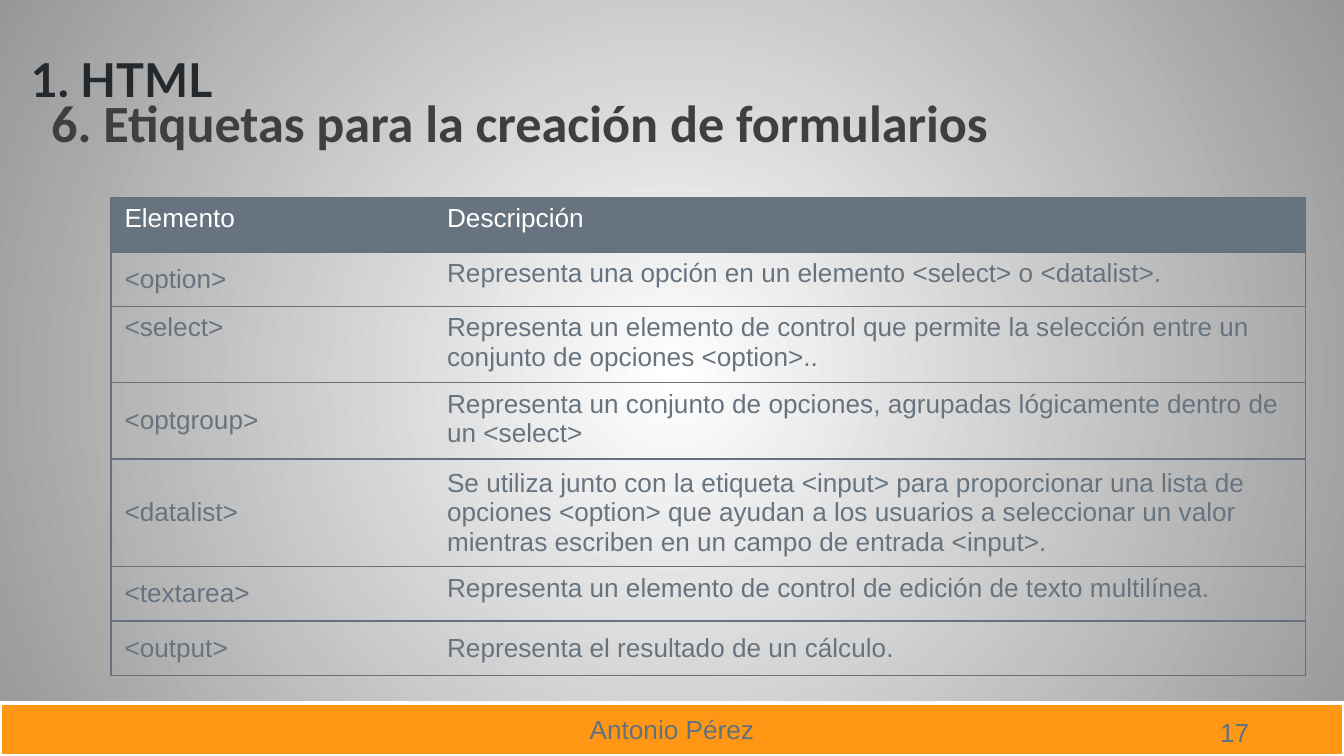
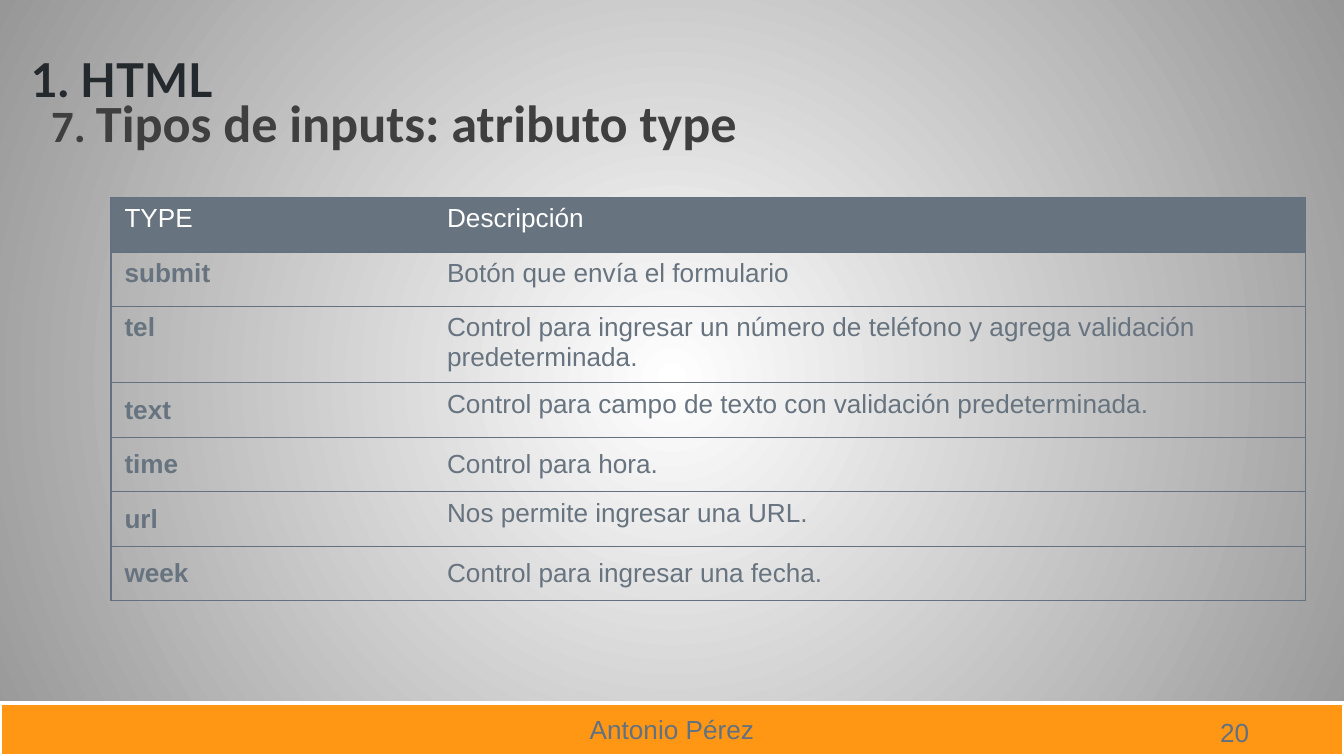
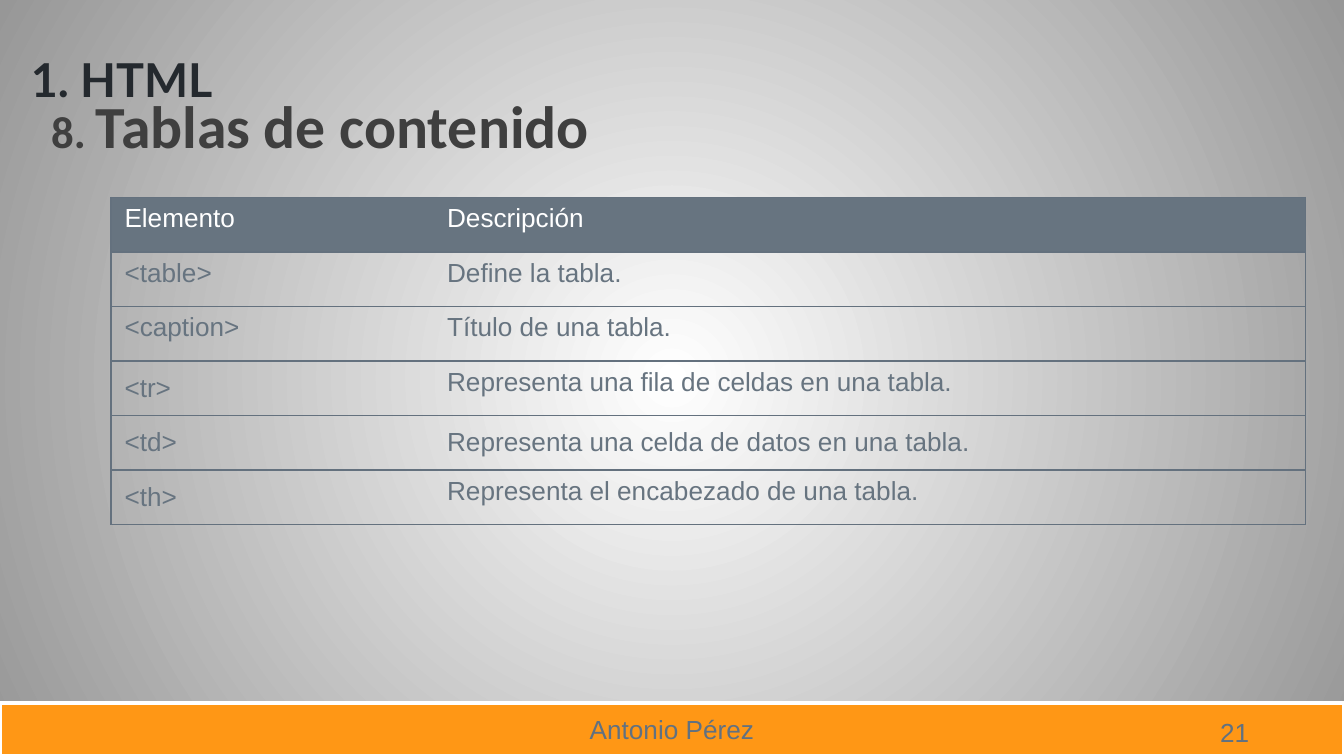
from lxml import etree
from pptx import Presentation
from pptx.dml.color import RGBColor
from pptx.enum.shapes import MSO_SHAPE
from pptx.enum.text import MSO_ANCHOR, PP_ALIGN
from pptx.oxml.ns import qn
from pptx.util import Pt

RECT = MSO_SHAPE.RECTANGLE
TOP, MID, BOTTOM = MSO_ANCHOR.TOP, MSO_ANCHOR.MIDDLE, MSO_ANCHOR.BOTTOM
CENTER = PP_ALIGN.CENTER

WHITE = RGBColor(0xFF, 0xFF, 0xFF)
GRAY = RGBColor(0x97, 0x97, 0x97)
ORANGE = RGBColor(0xFF, 0x97, 0x15)
SLATE = RGBColor(0x61, 0x71, 0x81)
STEEL = RGBColor(0x67, 0x74, 0x80)
RULE = RGBColor(0x64, 0x71, 0x7E)
INK = RGBColor(0x24, 0x29, 0x2E)
DARK = RGBColor(0x3F, 0x3F, 0x3F)

WIDTH, HEIGHT = 720, 405
COLS = (172.8, 467.2)
ROW = 29.2


class Deck:
    def __init__(self):
        self.prs = Presentation()
        self.prs.slide_width, self.prs.slide_height = Pt(WIDTH), Pt(HEIGHT)
        self.slide = None
        self.backdrop()

    def backdrop(self):
        """Radial gradient on the master, shared by every slide."""
        master = self.prs.slide_master
        fill = master.background.fill
        fill.gradient()
        for stop, color in zip(fill.gradient_stops, (WHITE, GRAY)):
            stop.color.rgb = color
        grad = master.element.find(".//" + qn("a:gradFill"))
        grad.remove(grad.find(qn("a:lin")))
        radial = etree.SubElement(grad, qn("a:path"), path="circle")
        etree.SubElement(radial, qn("a:fillToRect"),
                         {side: "50000" for side in "ltrb"})

    def style(self, para, size, color, font="Arial", bold=False):
        para.font.size, para.font.name = Pt(size), font
        para.font.bold, para.font.color.rgb = bold, color

    def text(self, box, runs, anchor=TOP, inset=(7.2, 3.6)):
        """Add a text box of (text, size) runs; return its paragraph."""
        frame = self.slide.shapes.add_textbox(*map(Pt, box)).text_frame
        frame.word_wrap = True
        frame.vertical_anchor = anchor
        frame.margin_left = frame.margin_right = Pt(inset[0])
        frame.margin_top = frame.margin_bottom = Pt(inset[1])
        para = frame.paragraphs[0]
        for words, size in runs:
            run = para.add_run()
            run.text = words
            if len(runs) > 1:
                run.font.size = Pt(size)
        return para

    def footer(self, page):
        band = self.slide.shapes.add_shape(
            RECT, *map(Pt, (0, 376.7, WIDTH, 28.3)))
        band.shadow.inherit = False
        band.fill.solid()
        band.fill.fore_color.rgb = ORANGE
        band.line.color.rgb, band.line.width = WHITE, Pt(2)
        band.text_frame.vertical_anchor = MID
        para = band.text_frame.paragraphs[0]
        para.text, para.alignment = "Antonio Pérez", CENTER
        self.style(para, 14, SLATE)
        para = self.text((646.6, 380.2, 43.2, 24.5), [(str(page), 14)])
        self.style(para, 14, SLATE)

    def heads(self, topic):
        para = self.text((0, 49, 700, 237.6), topic, inset=(0, 3))
        para.line_spacing = 0.9
        indent = para._p.get_or_add_pPr()
        indent.set("marL", str(Pt(27.4)))
        self.style(para, topic[-1][1], DARK, "Calibri", True)
        para = self.text((11.5, 12.2, 594, 48.2), [("1. HTML", 25)],
                         BOTTOM, (5, 3))
        para.line_spacing = 0.85
        self.style(para, 25, INK, "Lato", True)

    def border(self, cell, sides):
        props = cell._tc.get_or_add_tcPr()
        for spot, side in enumerate("LRTB"):
            line = etree.Element(qn("a:ln" + side), w=str(Pt(0.75)))
            if side in sides:
                solid = etree.SubElement(line, qn("a:solidFill"))
                etree.SubElement(solid, qn("a:srgbClr"), val=str(RULE))
            else:
                etree.SubElement(line, qn("a:noFill"))
            props.insert(spot, line)

    def table(self, head, rows, bold):
        rows = [(head, "Descripción", TOP, TOP)] + rows
        grid = self.slide.shapes.add_table(
            len(rows), len(COLS),
            *map(Pt, (59.5, 105.8, sum(COLS), ROW * len(rows)))).table
        for col, width in zip(grid.columns, COLS):
            col.width = Pt(width)
        for r, row in enumerate(rows):
            grid.rows[r].height = Pt(ROW)
            for c, side in enumerate("LR"):
                cell = grid.cell(r, c)
                cell.text, cell.vertical_anchor = row[c], row[c + 2]
                if r == 0:
                    cell.fill.solid()
                    cell.fill.fore_color.rgb = STEEL
                else:
                    cell.fill.background()
                self.border(cell, side + "TB")
                self.style(cell.text_frame.paragraphs[0], 14,
                           STEEL if r else WHITE,
                           bold=bold and r > 0 and c == 0)

    def page(self, number, topic, head, rows, bold=False):
        self.slide = self.prs.slides.add_slide(self.prs.slide_layouts[6])
        self.footer(number)
        self.heads(topic)
        self.table(head, rows, bold)


# Table rows: name, description, anchor of each cell
FORMS = [
    ("<option>", "Representa una opción en un elemento <select> o <datalist>.",
     MID, TOP),
    ("<select>", "Representa un elemento de control que permite la selección "
     "entre un conjunto de opciones <option>..", TOP, TOP),
    ("<optgroup>", "Representa un conjunto de opciones, agrupadas lógicamente "
     "dentro de un <select>", MID, TOP),
    ("<datalist>", "Se utiliza junto con la etiqueta <input> para proporcionar "
     "una lista de opciones <option> que ayudan a los usuarios a seleccionar "
     "un valor mientras escriben en un campo de entrada <input>.", MID, MID),
    ("<textarea>", "Representa un elemento de control de edición de texto "
     "multilínea.", MID, TOP),
    ("<output>", "Representa el resultado de un cálculo.", MID, MID),
]
INPUTS = [
    ("submit", "Botón que envía el formulario", TOP, TOP),
    ("tel", "Control para ingresar un número de teléfono y agrega validación "
     "predeterminada.", TOP, TOP),
    ("text", "Control para campo de texto con validación predeterminada.",
     MID, TOP),
    ("time", "Control para hora.", MID, MID),
    ("url", "Nos permite ingresar una URL.", MID, TOP),
    ("week", "Control para ingresar una fecha.", MID, MID),
]
TABLES = [
    ("<table>", "Define la tabla.", TOP, TOP),
    ("<caption>", "Título de una tabla.", TOP, TOP),
    ("<tr>", "Representa una fila de celdas en una tabla.", MID, TOP),
    ("<td>", "Representa una celda de datos en una tabla.", MID, MID),
    ("<th>", "Representa el encabezado de una tabla.", MID, TOP),
]


def main():
    deck = Deck()
    deck.page(17, [("6. Etiquetas para la creación de formularios", 28)],
              "Elemento", FORMS)
    deck.page(20, [("7. ", 24), ("Tipos de inputs: atributo type", 28)],
              "TYPE", INPUTS, bold=True)
    deck.page(21, [("8. ", 24), ("Tablas de contenido", 32)],
              "Elemento", TABLES)
    deck.prs.save("out.pptx")


if __name__ == "__main__":
    main()
